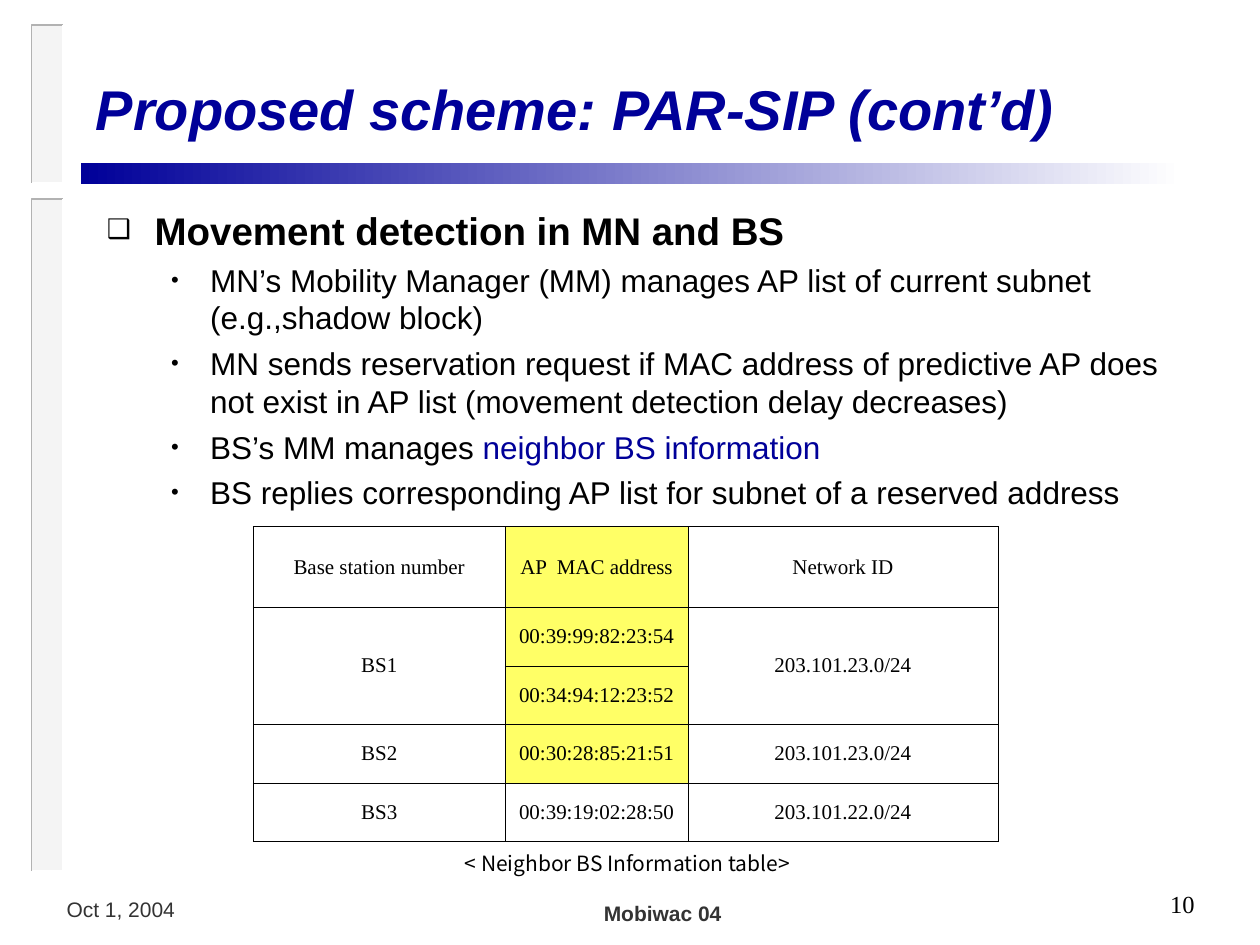
from lxml.etree import SubElement
from pptx import Presentation
from pptx.dml.color import RGBColor
from pptx.enum.shapes import MSO_SHAPE
from pptx.enum.text import MSO_ANCHOR, MSO_AUTO_SIZE, PP_ALIGN
from pptx.oxml.ns import qn
from pptx.util import Inches, Pt

NAVY = RGBColor(0x00, 0x00, 0x99)
BLACK = RGBColor(0x00, 0x00, 0x00)
WHITE = RGBColor(0xFF, 0xFF, 0xFF)
YELLOW = RGBColor(0xFF, 0xFF, 0x66)
PALE_GREY = RGBColor(0xEA, 0xEA, 0xEA)
EDGE_GREY = RGBColor(0xB2, 0xB2, 0xB2)
DARK_GREY = RGBColor(0x33, 0x33, 0x33)

TITLE = "Proposed scheme: PAR-SIP (cont’d)"
TITLE_FONT = dict(name="Arial", size=Pt(32), bold=True, italic=True)

# Each paragraph: level, then runs of (text, colour)
BODY = [
    (0, [("Movement detection in MN and BS", BLACK)]),
    (1, [("MN’s Mobility Manager (MM) manages AP list of current subnet "
          "(e.g.,shadow block)", BLACK)]),
    (1, [("MN sends reservation request if MAC address of predictive AP does "
          "not exist in AP list (movement detection delay decreases)", BLACK)]),
    (1, [("BS’s MM manages ", BLACK), ("neighbor BS information", NAVY)]),
    (1, [("BS replies corresponding AP list for subnet of a reserved address", BLACK)]),
]
LEVELS = [
    dict(bullet="❑", margin=0.38, hang=0.38, before=5.5,
         font=dict(name="Arial", size=Pt(22), bold=True)),
    dict(bullet="•", margin=0.82, hang=0.31, before=4.5,
         font=dict(name="Arial", size=Pt(18), bold=False)),
]

TABLE = [
    ["Base station number", "AP  MAC address", "Network ID"],
    ["BS1", "00:39:99:82:23:54", "203.101.23.0/24"],
    ["", "00:34:94:12:23:52", ""],
    ["BS2", "00:30:28:85:21:51", "203.101.23.0/24"],
    ["BS3", "00:39:19:02:28:50", "203.101.22.0/24"],
]
COLUMN_WIDTHS = [2.0, 1.45, 2.46]
TABLE_HEIGHT, HEADER_HEIGHT = 2.5, 0.64
ROW_HEIGHT = (TABLE_HEIGHT - HEADER_HEIGHT) / (len(TABLE) - 1)
MERGED_COLUMNS = (0, 2)
ADDRESS_COLUMN, HIGHLIGHTED_ROWS = 1, range(4)
CELL_FONT = dict(name="Times New Roman", size=Pt(12))

# Text, box, alignment, anchor, colour, font
LABELS = [
    ("Oct 1, 2004", (0.43, 7.07, 1.3, 0.3), PP_ALIGN.LEFT, MSO_ANCHOR.TOP,
     DARK_GREY, dict(name="Arial", size=Pt(12))),
    ("Mobiwac 04", (4.26, 7, 2, 0.5), PP_ALIGN.CENTER, MSO_ANCHOR.MIDDLE,
     DARK_GREY, dict(name="Arial", size=Pt(12), bold=True)),
    ("10", (7.5, 6.92, 2.08, 0.5), PP_ALIGN.RIGHT, MSO_ANCHOR.MIDDLE,
     BLACK, dict(name="Times New Roman", size=Pt(14))),
    ("< Neighbor BS Information table>", (3.59, 6.7, 2.84, 0.3), PP_ALIGN.LEFT,
     MSO_ANCHOR.MIDDLE, BLACK, dict(name="Noto Sans CJK KR", size=Pt(12))),
]

SIDE_BARS = [(0.25, 1.58, 0.25, 5.33), (0.25, 0.2, 0.25, 1.25)]


def inches(box):
    return [Inches(value) for value in box]


def add_run(paragraph, text, colour, font):
    run = paragraph.add_run()
    run.text = text
    run.font.color.rgb = colour
    for name, value in font.items():
        setattr(run.font, name, value)


def add_bar(shapes, box):
    bar = shapes.add_shape(MSO_SHAPE.RECTANGLE, *inches(box))
    bar.shadow.inherit = False
    bar.line.fill.background()
    return bar


def add_side_bar(shapes, box):
    """Half-transparent bar with a grey upper-left and a white lower-right edge."""
    bar = add_bar(shapes, box)
    bar.fill.solid()
    bar.fill.fore_color.rgb = PALE_GREY
    colour = bar.fill._xPr.find(".//" + qn("a:srgbClr"))
    SubElement(colour, qn("a:alpha"), val="50000")

    left, top, width, height = inches(box)
    right, bottom = left + width, top + height
    for corner, edge_colour in (((left, top), EDGE_GREY), ((right, bottom), WHITE)):
        builder = shapes.build_freeform(right, top)
        builder.add_line_segments([corner, (left, bottom)], close=False)
        edge = builder.convert_to_shape()
        edge.shadow.inherit = False
        edge.fill.background()
        edge.line.color.rgb = edge_colour
        edge.line.width = Pt(1)


def add_bullet(paragraph, character, margin, hang):
    properties = paragraph._p.get_or_add_pPr()
    properties.set("marL", str(Inches(margin)))
    properties.set("indent", str(-Inches(hang)))
    colour = SubElement(properties, qn("a:buClr"))
    SubElement(colour, qn("a:srgbClr"), val=str(BLACK))
    SubElement(properties, qn("a:buSzPct"), val="70000")
    SubElement(properties, qn("a:buFont"), typeface="Arial")
    SubElement(properties, qn("a:buChar"), char=character)


def add_body(shapes):
    frame = shapes.add_textbox(*inches((0.75, 1.59, 8.83, 5.5))).text_frame
    frame.word_wrap = True
    for index, (level, runs) in enumerate(BODY):
        paragraph = frame.add_paragraph() if index else frame.paragraphs[0]
        style = LEVELS[level]
        paragraph.level = level
        add_bullet(paragraph, style["bullet"], style["margin"], style["hang"])
        if index:
            paragraph.space_before = Pt(style["before"])
        for text, colour in runs:
            add_run(paragraph, text, colour, style["font"])


def add_borders(cell):
    properties = cell._tc.get_or_add_tcPr()
    for position, side in enumerate(("lnL", "lnR", "lnT", "lnB")):
        line = properties.makeelement(qn("a:" + side), {"w": str(Pt(0.45))})
        fill = SubElement(line, qn("a:solidFill"))
        SubElement(fill, qn("a:srgbClr"), val=str(BLACK))
        properties.insert(position, line)


def add_station_table(shapes):
    box = (2.01, 4.18, sum(COLUMN_WIDTHS), TABLE_HEIGHT)
    table = shapes.add_table(len(TABLE), len(COLUMN_WIDTHS), *inches(box)).table
    table.first_row = table.horz_banding = False
    for column, width in zip(table.columns, COLUMN_WIDTHS):
        column.width = Inches(width)
    for index, row in enumerate(table.rows):
        row.height = Inches(ROW_HEIGHT if index else HEADER_HEIGHT)
    for column in MERGED_COLUMNS:
        table.cell(1, column).merge(table.cell(2, column))
    for row, texts in enumerate(TABLE):
        for column, text in enumerate(texts):
            cell = table.cell(row, column)
            cell.vertical_anchor = MSO_ANCHOR.MIDDLE
            if column == ADDRESS_COLUMN and row in HIGHLIGHTED_ROWS:
                cell.fill.solid()
                cell.fill.fore_color.rgb = YELLOW
            else:
                cell.fill.background()
            add_borders(cell)
            if text:
                paragraph = cell.text_frame.paragraphs[0]
                paragraph.alignment = PP_ALIGN.CENTER
                add_run(paragraph, text, BLACK, CELL_FONT)


def fill_text(shape, text, alignment, anchor, colour, font):
    frame = shape.text_frame
    frame.word_wrap = True
    frame.auto_size = MSO_AUTO_SIZE.NONE
    frame.vertical_anchor = anchor
    paragraph = frame.paragraphs[0]
    paragraph.alignment = alignment
    add_run(paragraph, text, colour, font)


def main():
    presentation = Presentation()
    presentation.slide_width, presentation.slide_height = Inches(10), Inches(7.5)
    slide = presentation.slides.add_slide(presentation.slide_layouts[5])
    shapes = slide.shapes

    for box in SIDE_BARS:
        add_side_bar(shapes, box)
    rule = add_bar(shapes, (0.64, 1.29, 8.75, 0.17))
    rule.fill.gradient()
    rule.fill.gradient_angle = 0
    for stop, position, colour in zip(rule.fill.gradient_stops, (0, 1), (NAVY, WHITE)):
        stop.position = position
        stop.color.rgb = colour

    title = shapes.title
    title.left, title.top, title.width, title.height = inches((0.66, 0.25, 9, 1.21))
    fill_text(title, TITLE, PP_ALIGN.LEFT, MSO_ANCHOR.MIDDLE, NAVY, TITLE_FONT)
    add_body(shapes)
    add_station_table(shapes)
    for text, box, *style in LABELS:
        fill_text(shapes.add_textbox(*inches(box)), text, *style)

    presentation.save("out.pptx")


if __name__ == "__main__":
    main()
